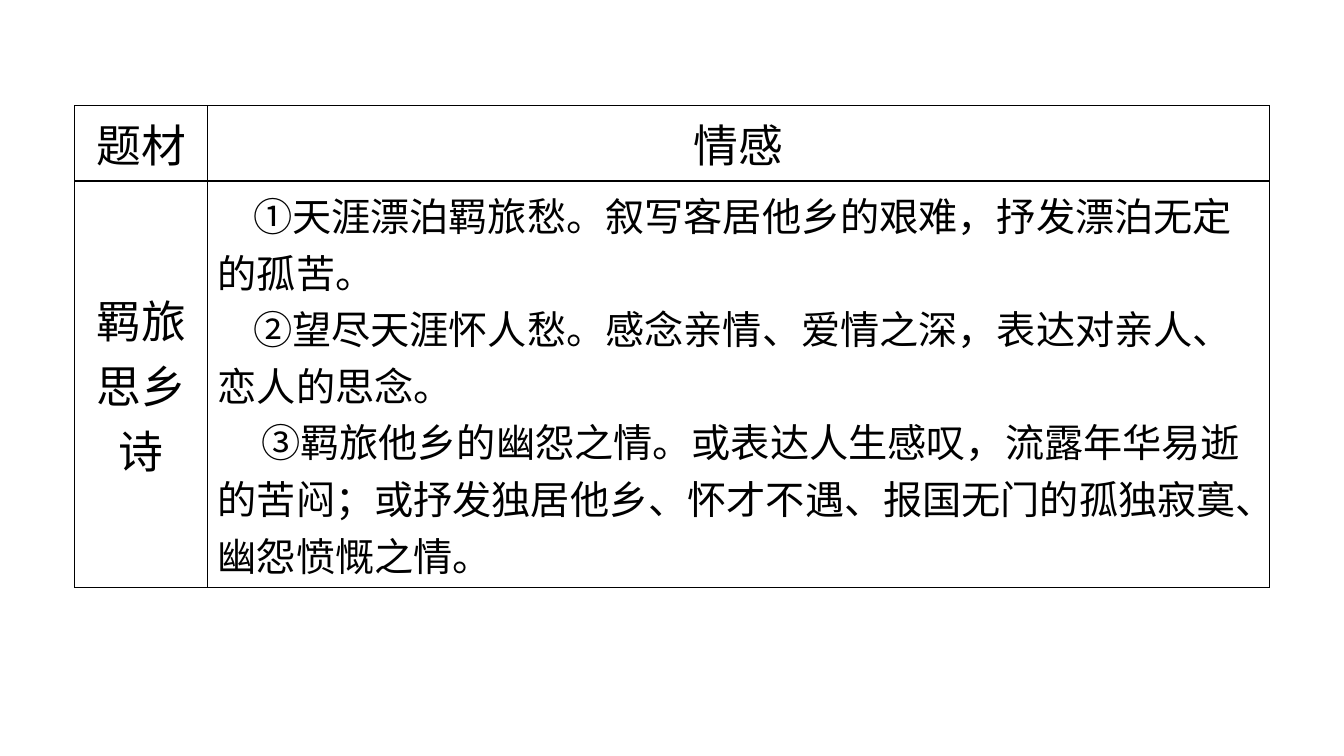
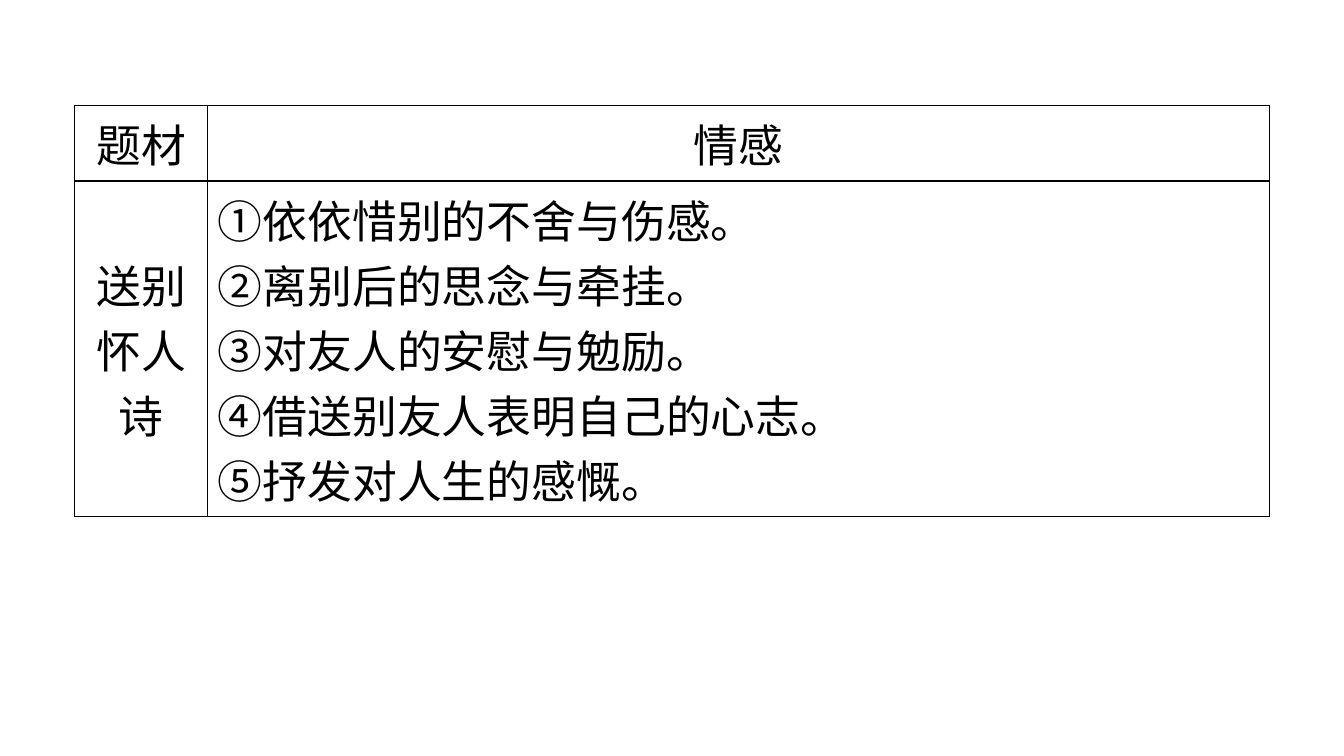
"""Builds two slides that pair a poem theme with the emotions it expresses."""
from dataclasses import dataclass

from lxml.etree import SubElement
from pptx import Presentation
from pptx.dml.color import RGBColor
from pptx.enum.text import MSO_ANCHOR, PP_ALIGN
from pptx.oxml.ns import qn
from pptx.util import Inches, Pt

COLORS = {"ink": "000000", "paper": "FFFFFF"}
FONT = {"name": "Calibri", "bold": False}
PLAIN_TABLE = {"first_row": False, "horz_banding": False}
LEFT, TOP = 0.74, 1.05
COLUMN_WIDTHS = (1.32, 10.53)
HEADER_HEIGHT = 0.74
HEADINGS = ("题材", "情感")
HEADING_SIZE = 32
BORDER_POINTS = 1
BORDER_SIDES = ("a:lnL", "a:lnR", "a:lnT", "a:lnB")


@dataclass(frozen=True)
class Passage:
    text: str
    size: int = HEADING_SIZE
    align: PP_ALIGN = PP_ALIGN.LEFT
    indent: float = 0


@dataclass(frozen=True)
class Theme:
    name: str
    emotions: tuple[Passage, ...]
    height: float


THEMES = (
    Theme("羁旅思乡诗", (
        Passage("①天涯漂泊羁旅愁。叙写客居他乡的艰难，抒发漂泊无定的孤苦。", 28, indent=0.35),
        Passage("②望尽天涯怀人愁。感念亲情、爱情之深，表达对亲人、恋人的思念。", 28, indent=0.35),
        Passage("③羁旅他乡的幽怨之情。或表达人生感叹，流露年华易逝的苦闷；"
                "或抒发独居他乡、怀才不遇、报国无门的孤独寂寞、幽怨愤慨之情。", 28, indent=0.43),
    ), 4),
    Theme("送别怀人诗", (
        Passage("①依依惜别的不舍与伤感。"),
        Passage("②离别后的思念与牵挂。"),
        Passage("③对友人的安慰与勉励。"),
        Passage("④借送别友人表明自己的心志。"),
        Passage("⑤抒发对人生的感慨。"),
    ), 3.3),
)


def centered(text: str) -> tuple[Passage, ...]:
    return (Passage(text, align=PP_ALIGN.CENTER),)


def draw_borders(cell) -> None:
    properties = cell._tc.get_or_add_tcPr()
    for side in BORDER_SIDES:
        border = SubElement(properties, qn(side), w=str(Pt(BORDER_POINTS)))
        fill = SubElement(border, qn("a:solidFill"))
        SubElement(fill, qn("a:srgbClr"), val=COLORS["ink"])


def fill_cell(cell, passages: tuple[Passage, ...]) -> None:
    draw_borders(cell)
    cell.fill.background()
    cell.vertical_anchor = MSO_ANCHOR.MIDDLE
    cell.text = "\n".join(passage.text for passage in passages)
    for paragraph, passage in zip(cell.text_frame.paragraphs, passages):
        paragraph.alignment = passage.align
        if passage.indent:
            paragraph._p.get_or_add_pPr().set("indent", str(Inches(passage.indent)))
        font = paragraph.runs[0].font
        for attribute, value in {**FONT, "size": Pt(passage.size)}.items():
            setattr(font, attribute, value)
        font.color.rgb = RGBColor.from_string(COLORS["ink"])


def add_theme_slide(deck, theme: Theme) -> None:
    slide = deck.slides.add_slide(deck.slide_layouts[6])
    background = slide.background.fill
    background.solid()
    background.fore_color.rgb = RGBColor.from_string(COLORS["paper"])
    rows = (
        tuple(centered(heading) for heading in HEADINGS),
        (centered(theme.name), theme.emotions),
    )
    heights = (HEADER_HEIGHT, theme.height)
    table = slide.shapes.add_table(
        len(rows), len(COLUMN_WIDTHS), Inches(LEFT), Inches(TOP),
        Inches(sum(COLUMN_WIDTHS)), Inches(sum(heights)),
    ).table
    for attribute, value in PLAIN_TABLE.items():
        setattr(table, attribute, value)
    for column, width in zip(table.columns, COLUMN_WIDTHS):
        column.width = Inches(width)
    for row, height, contents in zip(table.rows, heights, rows):
        row.height = Inches(height)
        for cell, passages in zip(row.cells, contents):
            fill_cell(cell, passages)


def main() -> None:
    deck = Presentation()
    deck.slide_width, deck.slide_height = Inches(13.33), Inches(7.5)
    for theme in THEMES:
        add_theme_slide(deck, theme)
    deck.save("out.pptx")


if __name__ == "__main__":
    main()
